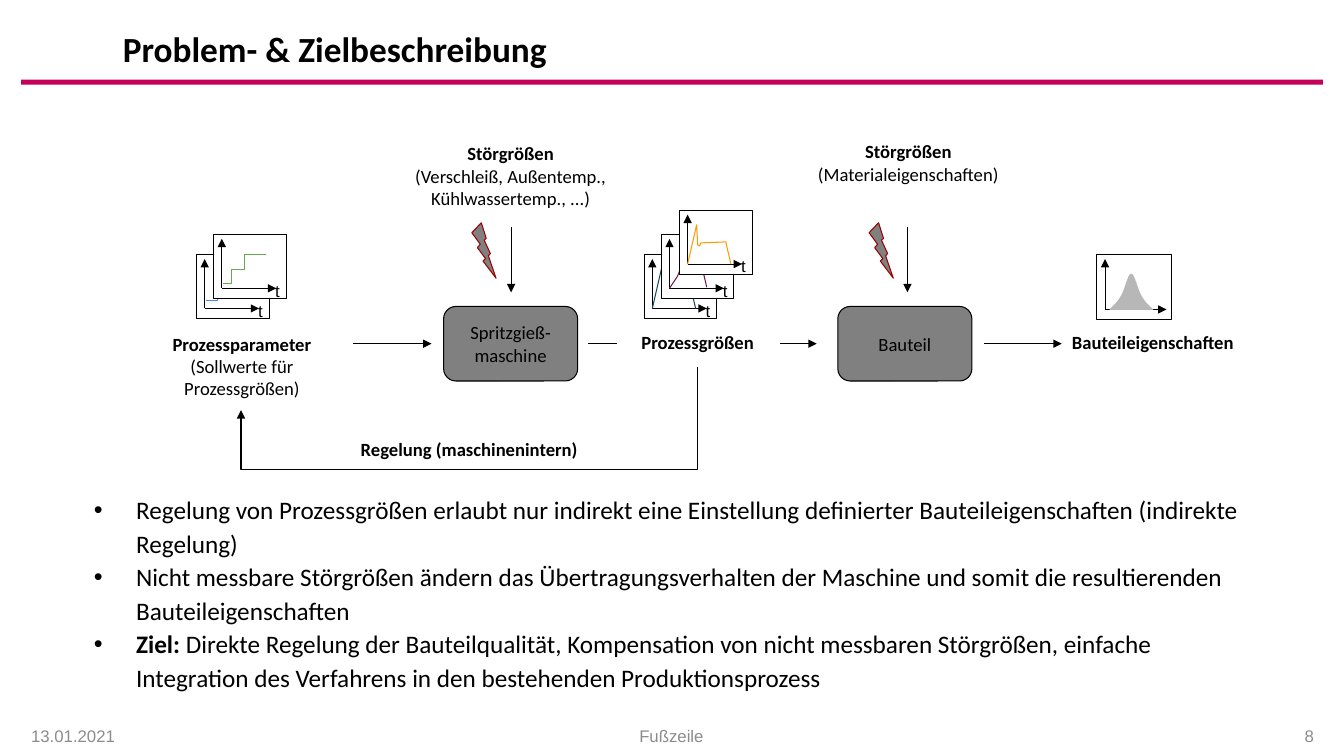
"""Build the slide on problem and goal of indirect process control."""
from lxml.etree import SubElement
from pptx import Presentation
from pptx.dml.color import RGBColor as Rgb
from pptx.enum.shapes import MSO_CONNECTOR as Link, MSO_SHAPE as Kind
from pptx.enum.text import MSO_ANCHOR as Anchor, PP_ALIGN as Align
from pptx.oxml.ns import qn
from pptx.util import Inches, Pt

HUE = {"black": "000000", "white": "FFFFFF", "pink": "C5005A", "gray": "808080",
       "foot": "8C8C8C", "red": "990000", "blue": "4A86E8", "green": "6AA84F",
       "teal": "134F5C", "plum": "741B47", "gold": "FF9900", "bell": "B7B7B7"}

deck = Presentation()
deck.slide_width, deck.slide_height = Inches(13.33), Inches(7.5)
slide = deck.slides.add_slide(deck.slide_layouts[6])
shapes = slide.shapes


def dress(item, fill=None, line="black", arrow=False):
    if fill:
        item.fill.solid()
        item.fill.fore_color.rgb = Rgb.from_string(HUE[fill])
    elif hasattr(item, "fill"):
        item.fill.background()
    if line:
        item.line.color.rgb = Rgb.from_string(HUE[line])
        item.line.width = Pt(0.75)
    else:
        item.line.fill.background()
    props = item.element.spPr
    if arrow:
        SubElement(props.find(qn("a:ln")), qn("a:tailEnd"), type="triangle")
    SubElement(props, qn("a:effectLst"))


def write(item, paras, size=13.3, hue="black", face="Calibri", align=Align.CENTER,
          anchor=Anchor.TOP, pad=0.13, wrap=True):
    frame = item.text_frame
    sides = {f"margin_{side}": Inches(pad) for side in ("left", "right", "top", "bottom")}
    for key, val in {"word_wrap": wrap, "vertical_anchor": anchor, **sides}.items():
        setattr(frame, key, val)
    for num, runs in enumerate(paras):
        para = frame.add_paragraph() if num else frame.paragraphs[0]
        para.alignment = align
        for words, bold in runs:
            run = para.add_run()
            run.text = words
            run.font.color.rgb = Rgb.from_string(HUE[hue])
            for key, val in {"name": face, "size": Pt(size), "bold": bold}.items():
                setattr(run.font, key, val)
    return frame


rule = shapes.add_shape(Kind.RECTANGLE, *map(Inches, (0.21, 0.79, 12.91, 0.05)))
dress(rule, "pink", None)

title = shapes.add_textbox(*map(Inches, (1.12, 0.21, 11.08, 0.55)))
write(title, [[("Problem- & Zielbeschreibung", True)]], 25.2,
      align=Align.LEFT, anchor=Anchor.MIDDLE, pad=0.1)

goals = [
    [("Regelung von Prozessgrößen erlaubt nur indirekt eine Einstellung definierter "
      "Bauteileigenschaften (indirekte Regelung)", False)],
    [("Nicht messbare Störgrößen ändern das Übertragungsverhalten der Maschine und somit "
      "die resultierenden Bauteileigenschaften", False)],
    [("Ziel: ", True),
     ("Direkte Regelung der Bauteilqualität, Kompensation von nicht messbaren Störgrößen, "
      "einfache Integration des Verfahrens in den bestehenden Produktionsprozess", False)],
]
body = shapes.add_textbox(*map(Inches, (0.6, 4.74, 11.98, 2.31)))
for para in write(body, goals, 18, align=Align.LEFT).paragraphs:
    para.line_spacing = Pt(24)
    props = para._p.get_or_add_pPr()
    props.set("marL", str(Inches(0.62)))
    props.set("indent", str(-Inches(0.42)))
    SubElement(props, qn("a:buFont"), typeface="Arial")
    SubElement(props, qn("a:buChar"), char="•")

for left, names in ((4.4, ("Spritzgieß-", "maschine")), (8.31, ("Bauteil",))):
    block = shapes.add_shape(Kind.ROUNDED_RECTANGLE, *map(Inches, (left, 3.04, 1.33, 0.74)))
    dress(block, "gray")
    write(block, [[(name, False)] for name in names], anchor=Anchor.MIDDLE)

peak = [(0.08, 0.53), (0.17, 0.14), (0.18, 0.34), (0.2, 0.35),
        (0.21, 0.32), (0.46, 0.31), (0.47, 0.36), (0.51, 0.53)]
hump = [(0.08, 0.53), (0.16, 0.41), (0.18, 0.36), (0.25, 0.25), (0.28, 0.21), (0.29, 0.16),
        (0.34, 0.1), (0.37, 0.09), (0.39, 0.2), (0.39, 0.27), (0.42, 0.39), (0.45, 0.52)]
low = [(0.09, 0.45), (0.21, 0.45), (0.21, 0.33), (0.38, 0.33), (0.38, 0.22), (0.55, 0.22)]
high = [(0.09, 0.48), (0.18, 0.48), (0.18, 0.34), (0.31, 0.34), (0.31, 0.19), (0.52, 0.19)]
rise = []
for bend in (((0.13, 0.54), (0.15, 0.52), (0.21, 0.47), (0.24, 0.41)),
             ((0.24, 0.41), (0.28, 0.35), (0.31, 0.19), (0.34, 0.19))):
    for step in range(9):
        t = step / 8
        parts = ((1 - t) ** 3, 3 * t * (1 - t) ** 2, 3 * t * t * (1 - t), t ** 3)
        rise.append(tuple(sum(k * spot[axis] for k, spot in zip(parts, bend))
                          for axis in (0, 1)))
bell = rise + [(0.68 - x, y) for x, y in reversed(rise)]

cards = [(1.95, 2.53, low, "blue"), (2.12, 2.33, high, "green"),
         (6.39, 2.53, peak, "teal"), (6.56, 2.33, hump, "plum"),
         (6.74, 2.09, peak, "gold"), (10.88, 2.53, bell, "bell")]
for left, top, curve, hue in cards:
    last = hue == "bell"
    wide, tall, reach = (0.74, 0.64, 0.69) if last else (0.72, 0.63, 0.62)
    card = shapes.add_shape(Kind.RECTANGLE, *map(Inches, (left, top, wide, tall)))
    dress(card, "white")
    x, y = left + 0.08, top + tall - 0.1
    for end in ((x, top + 0.04), (left + reach, y)):
        axis = shapes.add_connector(Link.STRAIGHT, *map(Inches, (x, y, *end)))
        dress(axis, arrow=True)
    spots = [(Inches(left + dx), Inches(top + dy)) for dx, dy in curve]
    pen = shapes.build_freeform(*spots[0])
    pen.add_line_segments(spots[1:], close=last)
    dress(pen.convert_to_shape(), hue if last else None, hue)
    if not last:
        mark = shapes.add_textbox(*map(Inches, (left + 0.61, top + 0.45, 0.1, 0.19)))
        write(mark, [[("t", False)]], 12, face="Arial", align=Align.LEFT, pad=0, wrap=False)

wires = [(3.5, 3.41, 4.28, 3.41), (5.83, 3.41, 6.12, 3.41), (7.74, 3.41, 8.1, 3.41),
         (9.76, 3.41, 10.53, 3.41), (5.07, 2.25, 5.07, 2.9), (9, 2.25, 9, 2.9)]
for ends in wires:
    wire = shapes.add_connector(Link.STRAIGHT, *map(Inches, ends))
    dress(wire, arrow=ends[0] != 5.83)

loop = shapes.add_connector(Link.ELBOW, *map(Inches, (4.44, 1.59, 4.87, 6.12)))
dress(loop, arrow=True)
loop.element.spPr.find(qn("a:xfrm")).set("rot", "5400000")
shift = loop.element.spPr.find(qn("a:prstGeom")).get_or_add_avLst()
SubElement(shift, qn("a:gd"), name="adj1", fmla="val 237200")

for left in (4.68, 8.62):
    bolt = shapes.add_shape(Kind.LIGHTNING_BOLT, *map(Inches, (left, 2.21, 0.24, 0.55)))
    dress(bolt, "gray", "red")

labels = [
    (1.29, 3.17, 2.22, 0.9, "Prozessparameter", "(Sollwerte für Prozessgrößen)"),
    (6.04, 3.17, 1.76, 0.47, "Prozessgrößen", ""),
    (10.45, 3.17, 1.97, 0.47, "Bauteileigenschaften", ""),
    (3.67, 1.28, 2.79, 0.9, "Störgrößen", "(Verschleiß, Außentemp., Kühlwassertemp., ...)"),
    (7.83, 1.26, 2.36, 0.68, "Störgrößen", "(Materialeigenschaften)"),
    (3.24, 4.23, 2.83, 0.47, "Regelung (maschinenintern)", ""),
]
for *place, head, note in labels:
    label = shapes.add_textbox(*map(Inches, place))
    write(label, [[(head, True)]] + ([[(note, False)]] if note else []))

for left, wide, words, align in ((0.21, 2.13, "13.01.2021", Align.LEFT),
                                 (2.41, 8.5, "Fußzeile", Align.CENTER),
                                 (11, 2.13, "8", Align.RIGHT)):
    foot = shapes.add_textbox(*map(Inches, (left, 7.1, wide, 0.39)))
    write(foot, [[(words, False)]], 12, "foot", "Arial", align, Anchor.MIDDLE, 0.1)

deck.save("out.pptx")
